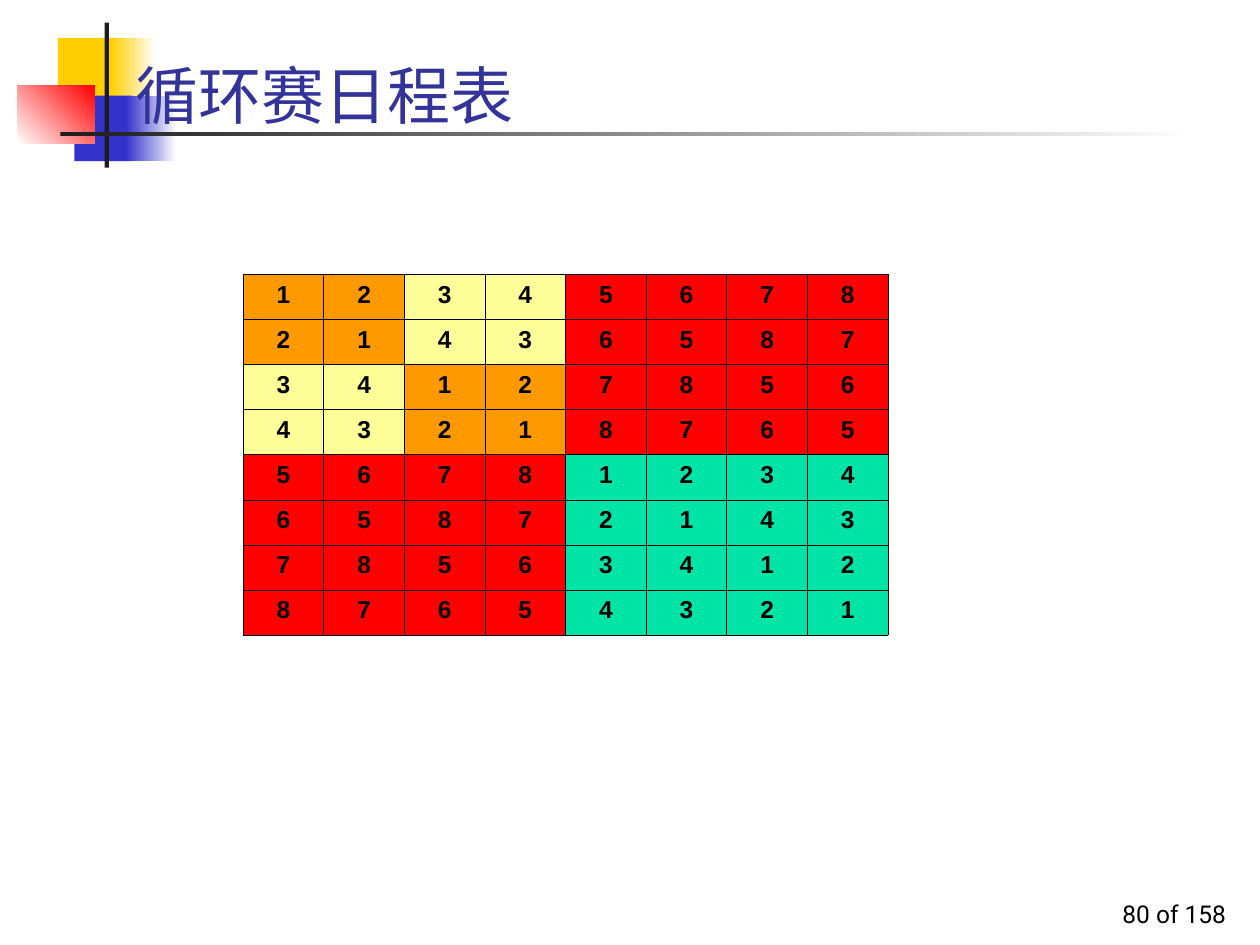
import lxml.etree
import pptx
import pptx.dml.color
import pptx.enum.shapes
import pptx.enum.text
import pptx.oxml.ns
import pptx.util

RGBColor = pptx.dml.color.RGBColor
Align = pptx.enum.text.PP_ALIGN

GOLD = RGBColor(0xFF, 0xCF, 0x01)
BLUE = RGBColor(0x33, 0x33, 0xCC)
INDIGO = RGBColor(0x33, 0x33, 0x99)
RED = RGBColor(0xFF, 0x00, 0x00)
ORANGE = RGBColor(0xFF, 0x99, 0x00)
YELLOW = RGBColor(0xFF, 0xFF, 0x99)
GREEN = RGBColor(0x00, 0xE4, 0xA8)
CHARCOAL = RGBColor(0x1C, 0x1C, 0x1C)
BLACK = RGBColor(0x00, 0x00, 0x00)
WHITE = RGBColor(0xFF, 0xFF, 0xFF)

GRID_COLUMNS, GRID_ROWS = 100, 75
TEAMS = 8


class SlideBuilder:
    title_font = "Noto Sans CJK SC"
    number_font = "Roboto"
    table_font = "Arial"
    border_width = 0.45

    def __init__(self, presentation):
        self.slide = presentation.slides.add_slide(presentation.slide_layouts[6])
        self.column = presentation.slide_width / GRID_COLUMNS
        self.row = presentation.slide_height / GRID_ROWS

    def place(self, left, top, width, height):
        units = (self.column, self.row, self.column, self.row)
        return [round(length * unit) for length, unit in zip((left, top, width, height), units)]

    def style(self, paragraph, name, size, color, bold=False, align=Align.LEFT):
        paragraph.alignment = align
        font = paragraph.font
        font.name, font.size, font.bold = name, pptx.util.Pt(size), bold
        font.color.rgb = color
        properties = paragraph._p.pPr.find(pptx.oxml.ns.qn("a:defRPr"))
        lxml.etree.SubElement(properties, pptx.oxml.ns.qn("a:ea"), typeface=name)

    def rectangle(self, box, color, end_color=None, angle=0):
        shape = self.slide.shapes.add_shape(
            pptx.enum.shapes.MSO_SHAPE.RECTANGLE, *self.place(*box))
        shape.shadow.inherit = False
        shape.line.fill.background()
        if end_color is None:
            shape.fill.solid()
            shape.fill.fore_color.rgb = color
            return
        shape.fill.gradient()
        shape.fill.gradient_angle = angle
        for stop, stop_color in zip(shape.fill.gradient_stops, (color, end_color)):
            stop.color.rgb = stop_color

    def text(self, box, content, *style, **options):
        frame = self.slide.shapes.add_textbox(*self.place(*box)).text_frame
        frame.word_wrap = True
        frame.vertical_anchor = pptx.enum.text.MSO_ANCHOR.BOTTOM
        frame.text = content
        self.style(frame.paragraphs[0], *style, **options)

    def border(self, cell):
        properties = cell._tc.get_or_add_tcPr()
        qn = pptx.oxml.ns.qn
        for side in ("lnL", "lnR", "lnT", "lnB"):
            line = lxml.etree.SubElement(
                properties, qn(f"a:{side}"), w=str(pptx.util.Pt(self.border_width)))
            fill = lxml.etree.SubElement(line, qn("a:solidFill"))
            lxml.etree.SubElement(fill, qn("a:srgbClr"), val=str(BLACK))

    def table(self, box, size, value_at, color_at):
        table = self.slide.shapes.add_table(size, size, *self.place(*box)).table
        table.first_row = table.horz_banding = False
        for row in range(size):
            for column in range(size):
                cell = table.cell(row, column)
                cell.text = str(value_at(row, column))
                self.style(cell.text_frame.paragraphs[0], self.table_font, 14, BLACK,
                           bold=True, align=Align.CENTER)
                self.border(cell)
                cell.fill.solid()
                cell.fill.fore_color.rgb = color_at(row, column)


def opponent(row, column):
    return (row ^ column) + 1


def block_color(row, column):
    half = TEAMS // 2
    if row // half != column // half:
        return RED
    if row >= half:
        return GREEN
    return ORANGE if row // 2 == column // 2 else YELLOW


def main():
    presentation = pptx.Presentation()
    presentation.slide_width = pptx.util.Inches(10)
    presentation.slide_height = pptx.util.Inches(7.5)
    builder = SlideBuilder(presentation)

    builder.rectangle((4.6, 3, 4.8, 5.2), GOLD)
    builder.rectangle((8.8, 3, 3.6, 5.2), GOLD, WHITE)
    builder.rectangle((5.9, 7.6, 4.6, 5.2), BLUE)
    builder.rectangle((10, 7.6, 4, 5.2), BLUE, WHITE)
    builder.rectangle((1.4, 6.8, 6.1, 4.6), WHITE, RED, angle=45)
    builder.rectangle((8.3, 1.8, 0.35, 11.5), CHARCOAL)
    builder.rectangle((4.8, 10.5, 90, 0.3), CHARCOAL, WHITE)

    builder.text((77.5, 69.2, 20.8, 5), "80 of 158", builder.number_font, 14, BLACK,
                 align=Align.RIGHT)
    builder.text((9.8, 3.6, 85, 7.4), "循环赛日程表", builder.title_font, 36, INDIGO)
    builder.table((19.3, 21.8, 51.2, 28.6), TEAMS, opponent, block_color)

    presentation.save("out.pptx")


if __name__ == "__main__":
    main()
